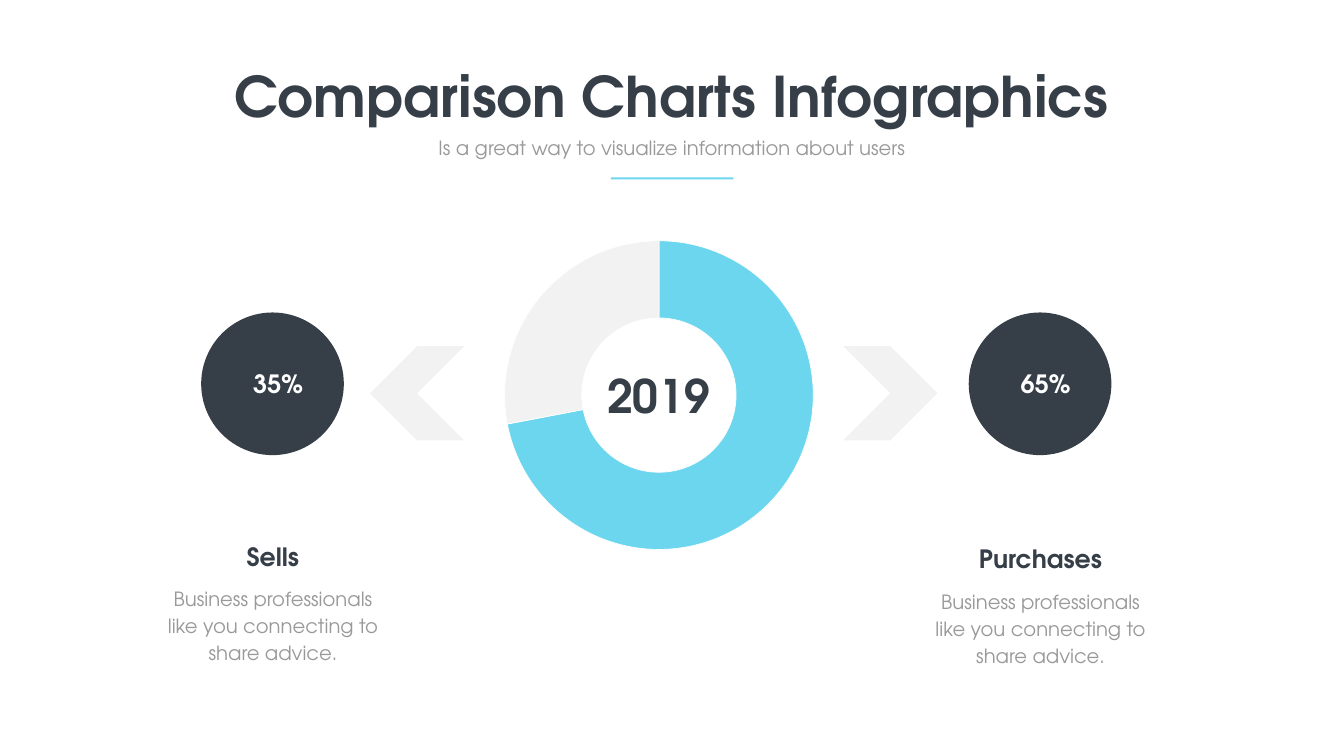
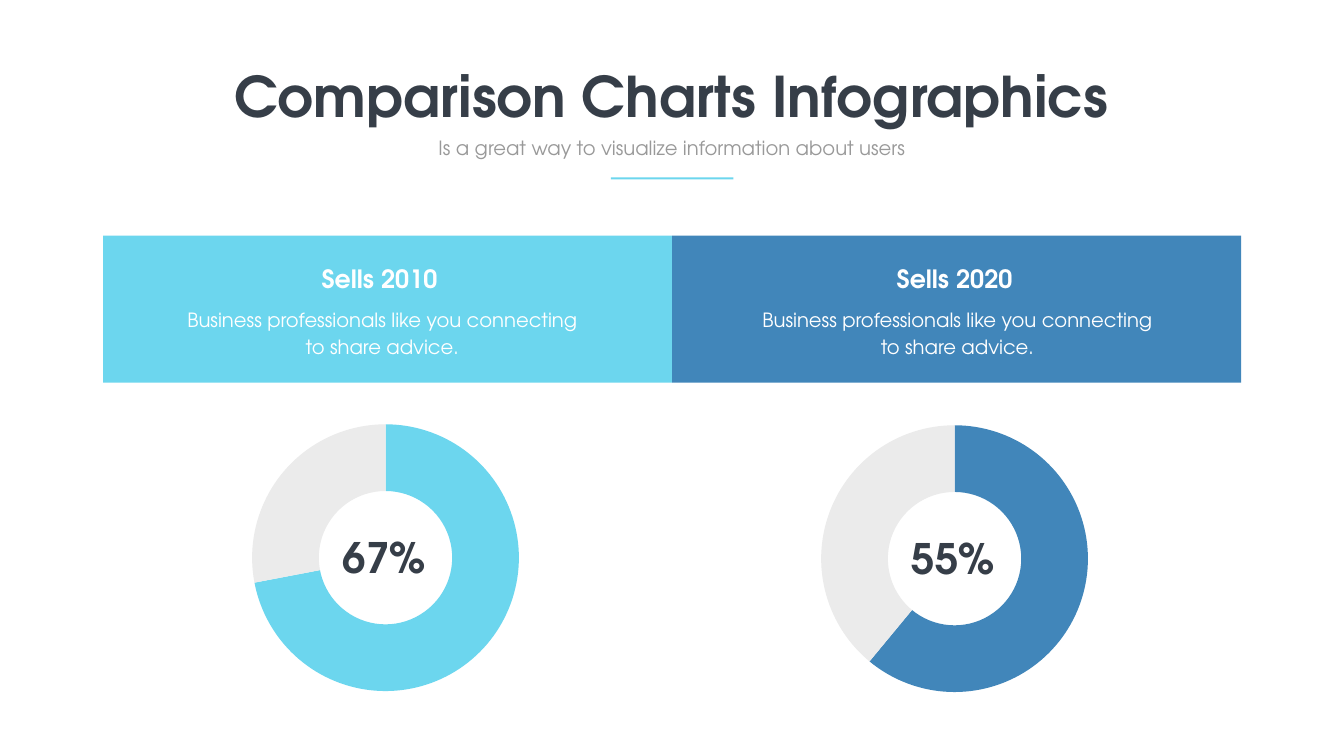
from pptx import Presentation
from pptx import util as u
from pptx.chart.data import CategoryChartData
from pptx.dml.color import RGBColor
from pptx.enum import chart as charts, shapes, text

COLORS = {
    "dark": "363E48",
    "gray": "999999",
    "cyan": "6CD6EE",
    "blue": "4186BA",
    "pale": "F2F2F2",
    "silver": "EBEBEB",
    "white": "FFFFFF",
}
FONT = "TeX Gyre Adventor"
ADVICE = "Business professionals like you connecting to share advice."
BAND_WIDTH = 812.9


def rgb(name):
    """Return the named colour."""
    return RGBColor.from_string(COLORS[name])


def points(*lengths):
    """Turn numbers into point lengths."""
    return [u.Pt(length) for length in lengths]


def write(shape, words, size, color, bold=False, centered=True, wrap=True, spacing=None):
    """Fill a shape with one formatted paragraph."""
    frame = shape.text_frame
    frame.auto_size = text.MSO_AUTO_SIZE.NONE
    frame.word_wrap = wrap
    frame.vertical_anchor = text.MSO_ANCHOR.TOP
    paragraph = frame.paragraphs[0]
    paragraph.alignment = text.PP_ALIGN.CENTER if centered else text.PP_ALIGN.LEFT
    if spacing:
        paragraph.line_spacing = u.Pt(spacing)
    run = paragraph.add_run()
    run.text = words
    run.font.name = FONT
    run.font.size = u.Pt(size)
    run.font.bold = bold
    run.font.color.rgb = rgb(color)


def add_text(slide, box, words, size, color, **style):
    """Add a text box."""
    write(slide.shapes.add_textbox(*points(*box)), words, size, color, **style)


def add_heading(slide, box, words, color):
    """Add a bold label."""
    add_text(slide, box, words, 36, color, bold=True)


def add_body(slide, box, color):
    """Add the descriptive text."""
    add_text(slide, box, ADVICE, 28, color, spacing=38.6)


def add_filled(slide, kind, box, color, rotation=0):
    """Add a flat shape without outline."""
    shape = slide.shapes.add_shape(kind, *points(*box))
    shape.shadow.inherit = False
    shape.fill.solid()
    shape.fill.fore_color.rgb = rgb(color)
    shape.line.fill.background()
    shape.rotation = rotation


def add_ring(slide, box, values, colors, outlined=False):
    """Add a doughnut chart with two coloured slices."""
    data = CategoryChartData()
    data.categories = ["1", "2"]
    data.add_series("Series 1", values)
    chart = slide.shapes.add_chart(
        charts.XL_CHART_TYPE.DOUGHNUT, *points(*box), data
    ).chart
    chart.has_title = False
    chart.has_legend = False
    chart.font.name = "Calibri"
    chart.font.size = u.Pt(10)
    chart.font.color.rgb = rgb("gray")
    plot = chart.plots[0]
    plot.vary_by_categories = True
    plot.has_data_labels = False
    for hole in chart.element.xpath(".//c:holeSize"):
        hole.set("val", "75")
    for index, color in enumerate(colors):
        form = plot.series[0].points[index].format
        form.fill.solid()
        form.fill.fore_color.rgb = rgb(color)
        if outlined:
            form.line.color.rgb = rgb("white")
            form.line.width = u.Pt(1)
        else:
            form.line.fill.background()


def add_header(slide):
    """Place the title, the subtitle and the short rule."""
    title = slide.shapes.title
    title.left, title.top, title.width, title.height = points(321.8, 84.2, 1275.1, 104.4)
    write(title, "Comparison Charts Infographics", 80, "dark", bold=True, wrap=False)
    add_text(slide, (615.6, 190.8, 688.3, 41),
             "Is a great way to visualize information about users", 28, "gray")
    add_filled(slide, shapes.MSO_SHAPE.RECTANGLE, (872.6, 253.4, 175, 2.9), "cyan")


def add_side(slide, left, top, share, name, chevron_shift, rotation, drops):
    """Place a share circle, its chevron and its description."""
    heading_drop, body_drop = drops
    add_filled(slide, shapes.MSO_SHAPE.OVAL, (left + 73.6, top, 203.8, 203.8), "dark")
    add_filled(slide, shapes.MSO_SHAPE.CHEVRON,
               (left + chevron_shift, top + 48.2, 134.6, 134.6), "pale", rotation)
    add_heading(slide, (left + 7.5, top + 76.3, 352, 51), share, "white")
    add_heading(slide, (left, top + heading_drop, 352, 51), name, "dark")
    add_body(slide, (left + 6.6, top + body_drop, 339.1, 123.8), "gray")


def add_comparison(slide):
    """Compose the slide with one ring between two sides."""
    add_header(slide)
    add_ring(slide, (595.4, 334.1, 691.9, 460.8), (72, 28), ("cyan", "pale"), outlined=True)
    add_text(slide, (859, 520.6, 164.2, 87.1), "2019", 66, "dark", bold=True, wrap=False)
    add_side(slide, 213.8, 446.4, "35%", "Sells", 314.7, 180, (323.3, 383))
    add_side(slide, 1310.3, 446.4, "65%", "Purchases", -105.7, 0, (326.9, 388.1))


def add_year(slide, left, top, name, share, values, color, text_shift, ring_drop):
    """Place a coloured band with its text and the ring below it."""
    add_filled(slide, shapes.MSO_SHAPE.RECTANGLE, (left, top, BAND_WIDTH, 210.2), color)
    add_heading(slide, (left + 222.9 + text_shift, top + 35.6, 344.2, 51), name, "white")
    add_body(slide, (left + 109.8 + text_shift, top + 94.7, 578.2, 85), "white")
    add_ring(slide, (left + 102.6, top + ring_drop, 601.9, 401), values, (color, "silver"))
    add_text(slide, (left + 335.2, top + ring_drop + 159.3, 148.3, 77.8),
             share, 60, "dark", bold=True, centered=False)


def add_years(slide):
    """Compose the slide with two years side by side."""
    add_header(slide)
    add_year(slide, 147.2, 336.6, "Sells 2010", "67%", (72, 28), "cyan", 0, 259.6)
    add_year(slide, 147.2 + BAND_WIDTH, 336.6, "Sells 2020", "55%", (61, 39), "blue", 8.6, 261)


def main():
    """Build and save the presentation."""
    presentation = Presentation()
    presentation.slide_width, presentation.slide_height = points(1920, 1080)
    for compose in (add_comparison, add_years):
        compose(presentation.slides.add_slide(presentation.slide_layouts[5]))
    presentation.save("out.pptx")


if __name__ == "__main__":
    main()
